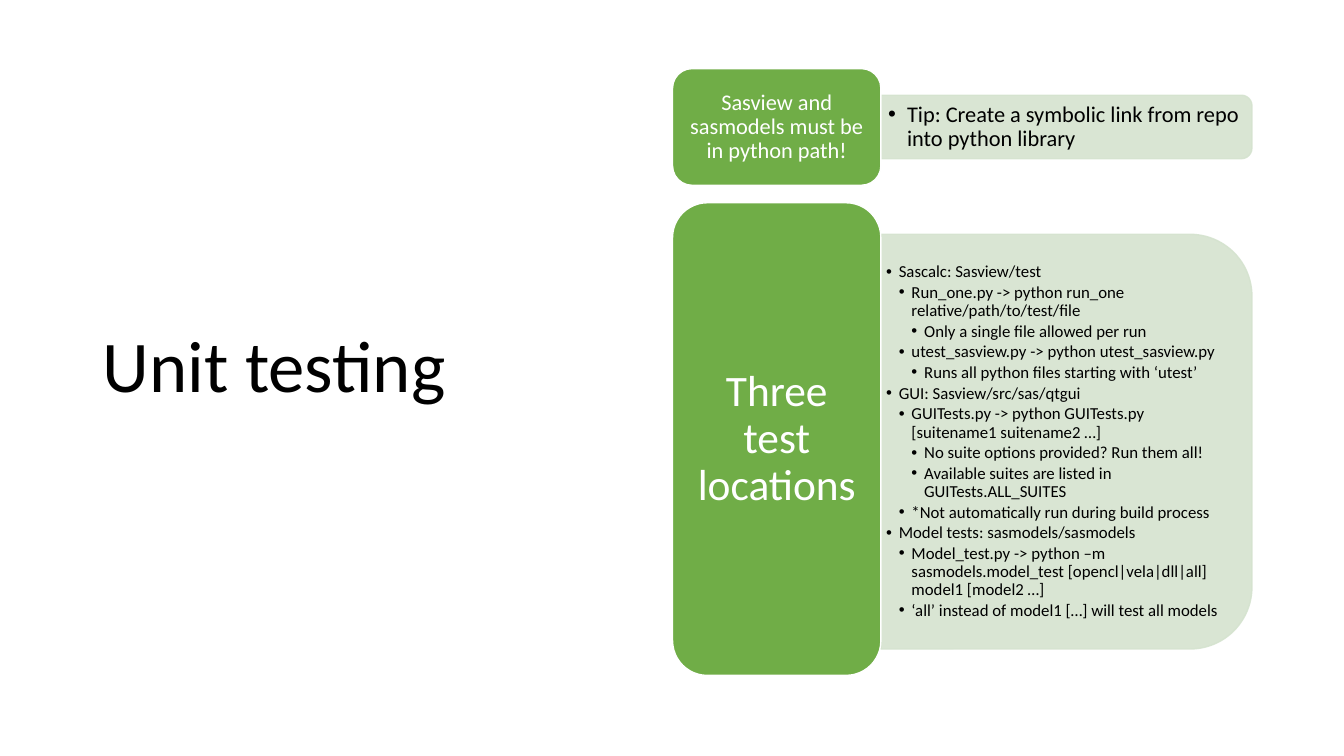
from typing import NamedTuple

from lxml import etree
from pptx import Presentation
from pptx.dml.color import RGBColor
from pptx.enum.shapes import MSO_SHAPE
from pptx.enum.text import MSO_ANCHOR, MSO_AUTO_SIZE, PP_ALIGN
from pptx.oxml.ns import qn
from pptx.util import Cm, Pt

CARD, TAB = MSO_SHAPE.ROUNDED_RECTANGLE, MSO_SHAPE.ROUND_2_SAME_RECTANGLE
MIDDLE, NO_FIT = MSO_ANCHOR.MIDDLE, MSO_AUTO_SIZE.NONE
LEFT, CENTER = PP_ALIGN.LEFT, PP_ALIGN.CENTER

FONT = "Calibri"
COLORS = {"green": "70AD47", "pale": "D5E3CF", "white": "FFFFFF", "black": "000000"}

# Shared columns, in cm
CARD_X, CARD_W = 16.95, 5.25
TAB_X, TAB_W = CARD_X + CARD_W, 9.35


class Item(NamedTuple):
    text: str
    level: int = 0


class Topic(NamedTuple):
    head: str
    head_size: float
    head_pad: float
    top: float
    height: float
    tab_mid: float
    tab_height: float
    list_width: float
    list_size: float
    list_pad: float
    step: float  # indent per level
    items: list[Item]


TOPICS = [
    Topic("Sasview and sasmodels must be in python path!", 16, 0.18,
          1.73, 2.94, 3.2, 1.6, 9.27, 16, 0.18, 0.48,
          [Item("Tip: Create a symbolic link from repo into python library")]),
    Topic("Three test locations", 31, 0.33,
          5.11, 11.91, 11.13, 10.45, 8.89, 12, 0.13, 0.32,
          [Item("Sascalc: Sasview/test"),
           Item("Run_one.py -> python run_one relative/path/to/test/file", 1),
           Item("Only a single file allowed per run", 2),
           Item("utest_sasview.py -> python utest_sasview.py", 1),
           Item("Runs all python files starting with ‘utest’", 2),
           Item("GUI: Sasview/src/sas/qtgui"),
           Item("GUITests.py -> python GUITests.py [suitename1 suitename2 …]", 1),
           Item("No suite options provided? Run them all!", 2),
           Item("Available suites are listed in GUITests.ALL_SUITES", 2),
           Item("*Not automatically run during build process", 1),
           Item("Model tests: sasmodels/sasmodels"),
           Item("Model_test.py -> python –m sasmodels.model_test "
                "[opencl|vela|dll|all] model1 [model2 …]", 1),
           Item("‘all’ instead of model1 […] will test all models", 1)]),
]


def rgb(name: str) -> RGBColor:
    return RGBColor.from_string(COLORS[name])


def place(shape, x: float, y: float, w: float, h: float) -> None:
    shape.left, shape.top, shape.width, shape.height = Cm(x), Cm(y), Cm(w), Cm(h)


def write(shape, items: list[Item], *, size: float, color: str = "black",
          align=LEFT, pad: float = 0.25, step: float = 0, after: float = 0) -> None:
    """Fill a shape with paragraphs; a step above zero gives bullets."""
    frame = shape.text_frame
    frame.word_wrap, frame.auto_size = True, NO_FIT
    frame.vertical_anchor = MIDDLE
    frame.margin_left = frame.margin_right = Cm(pad)
    frame.margin_top = frame.margin_bottom = Cm(pad / 2)
    for i, item in enumerate(items):
        para = frame.add_paragraph() if i else frame.paragraphs[0]
        para.level, para.alignment = item.level, align
        para.line_spacing = 0.9
        para.space_before, para.space_after = Pt(0), Pt(after)
        run = para.add_run()
        run.text = item.text
        run.font.name, run.font.size = FONT, Pt(size)
        run.font.color.rgb = rgb(color)
        if step:
            props = para._p.get_or_add_pPr()
            props.set("marL", str(Cm(step * (item.level + 1))))
            props.set("indent", str(-Cm(step)))
            etree.SubElement(props, qn("a:buFont"), typeface="Arial")
            etree.SubElement(props, qn("a:buChar"), char="•")


def block(shapes, kind, x: float, y: float, w: float, h: float,
          fill: str, line: str):
    shape = shapes.add_shape(kind, Cm(x), Cm(y), Cm(w), Cm(h))
    shape.shadow.inherit = False
    shape.fill.solid()
    shape.fill.fore_color.rgb = rgb(fill)
    shape.line.color.rgb = rgb(line)
    shape.line.width = Pt(1)
    return shape


def draw_tab(shapes, topic: Topic) -> None:
    """Pale panel, turned so its round corners face right, behind the list."""
    h = topic.tab_height
    tab = block(shapes, TAB, TAB_X + (TAB_W - h) / 2, topic.tab_mid - TAB_W / 2,
                h, TAB_W, "pale", "pale")
    tab.rotation = 90
    for color in tab.element.spPr.iter(qn("a:srgbClr")):
        etree.SubElement(color, qn("a:alpha"), val="90000")
    shapes.element.insert(2, tab.element)


def draw_topic(shapes, body, topic: Topic) -> None:
    draw_tab(shapes, topic)
    h = topic.tab_height * 0.91
    place(body, TAB_X, topic.tab_mid - h / 2, topic.list_width, h)
    write(body, topic.items, size=topic.list_size, pad=topic.list_pad,
          step=topic.step, after=topic.list_size * 0.15)
    card = block(shapes, CARD, CARD_X, topic.top, CARD_W, topic.height,
                 "green", "white")
    write(card, [Item(topic.head)], size=topic.head_size, color="white",
          align=CENTER, pad=topic.head_pad)


# Slide with a title and two lists
deck = Presentation()
deck.slide_width, deck.slide_height = Cm(33.87), Cm(19.05)
slide = deck.slides.add_slide(deck.slide_layouts[3])
title, *lists = slide.placeholders

# Title on the left
place(title, 2.34, 1.55, 13.51, 15.47)
write(title, [Item("Unit testing")], size=52)

# Topics on the right
for body, topic in zip(lists, TOPICS):
    draw_topic(slide.shapes, body, topic)

deck.save("out.pptx")
